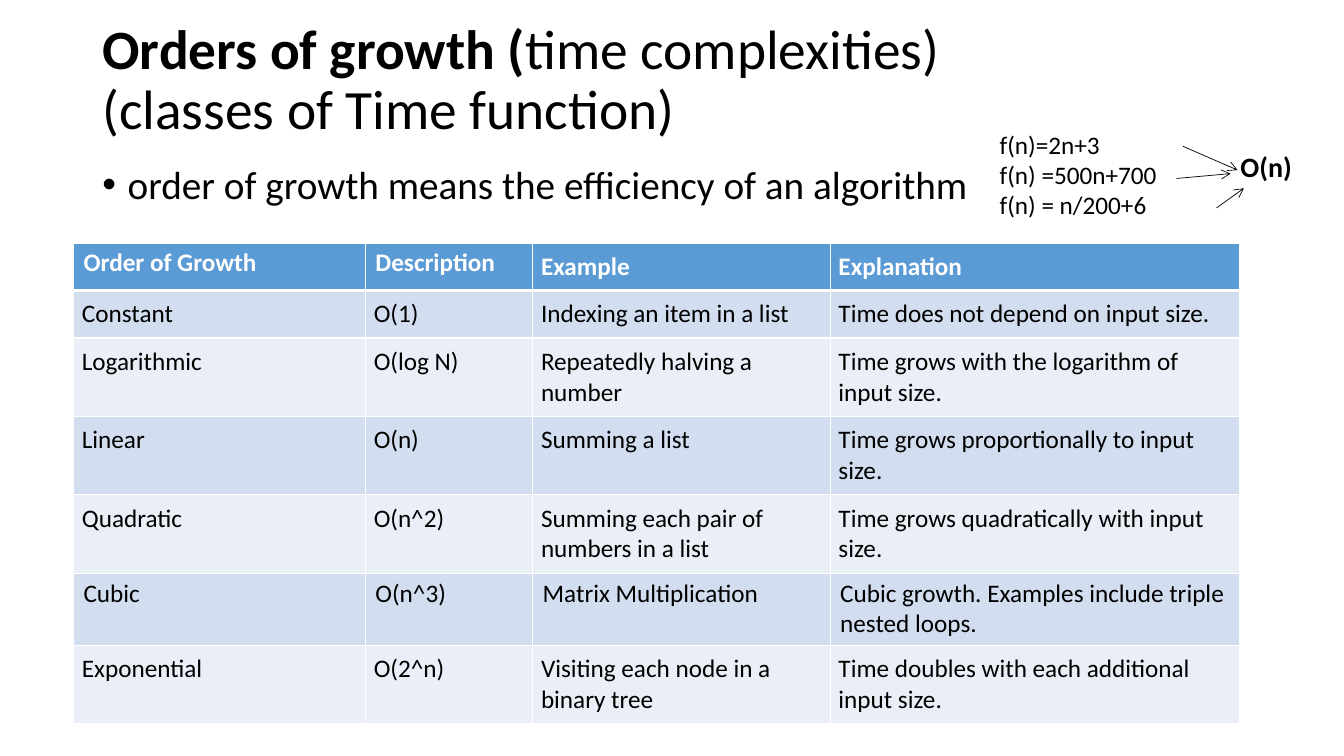
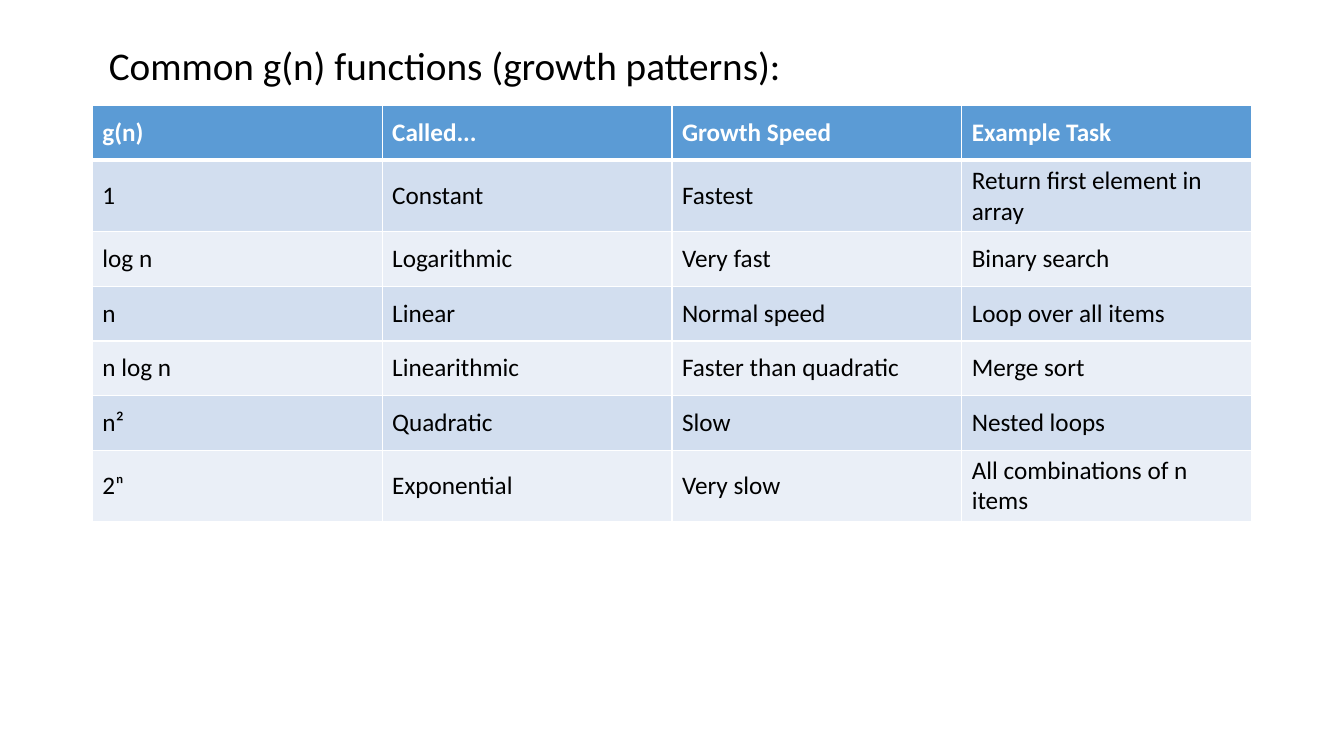
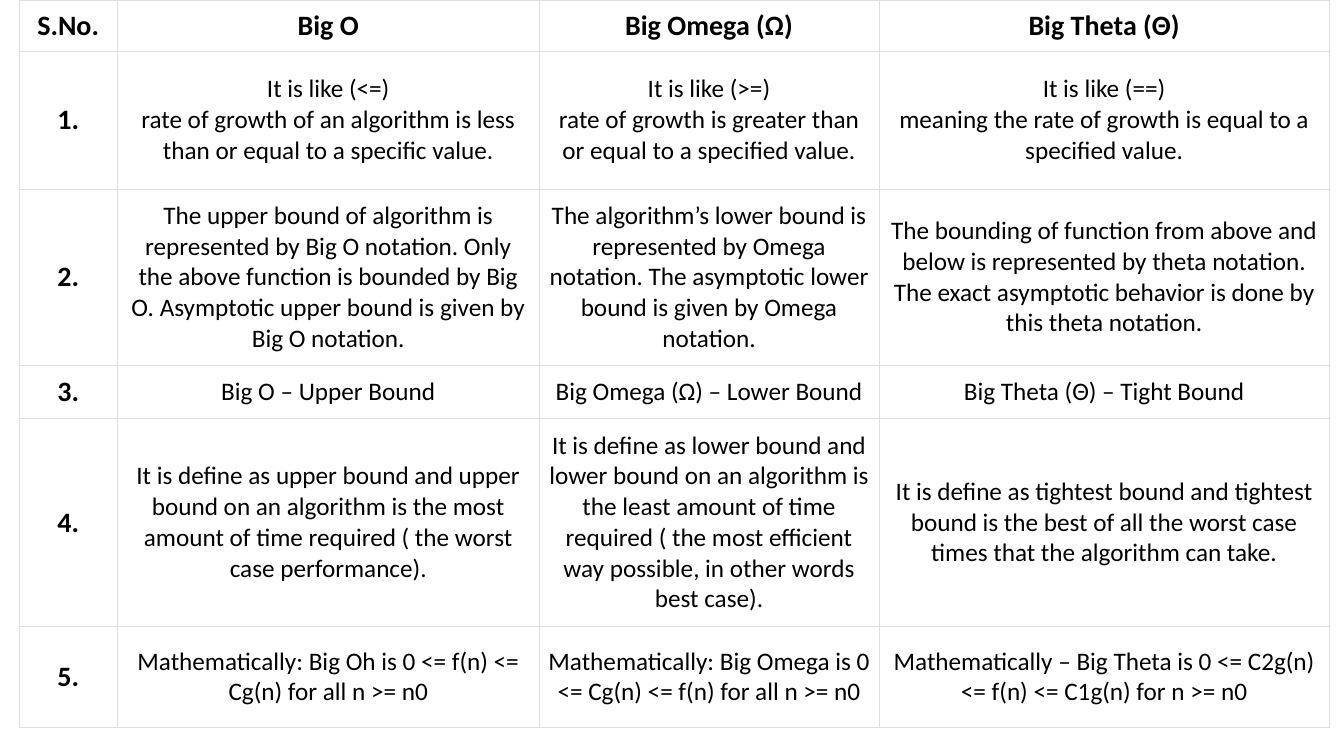
from copy import deepcopy
from dataclasses import dataclass

from pptx import Presentation
from pptx.dml.color import RGBColor
from pptx.enum.shapes import MSO_CONNECTOR
from pptx.enum.text import MSO_ANCHOR, MSO_AUTO_SIZE, PP_ALIGN
from pptx.oxml import parse_xml
from pptx.oxml.ns import nsdecls, qn
from pptx.util import Pt

STRAIGHT = MSO_CONNECTOR.STRAIGHT
TOP, MIDDLE = MSO_ANCHOR.TOP, MSO_ANCHOR.MIDDLE
LEFT, CENTER = PP_ALIGN.LEFT, PP_ALIGN.CENTER
FIXED = MSO_AUTO_SIZE.NONE
CONTENT_LAYOUT, TITLE_LAYOUT, BLANK_LAYOUT = 1, 5, 6


@dataclass(frozen=True)
class Theme:
    """Colours, type sizes and insets of the deck."""

    font: str = "Calibri"
    ink: str = "000000"
    paper: str = "FFFFFF"
    header: str = "5B9BD5"
    bands: tuple = ("D2DEEF", "EAEFF7")
    grid: str = "DFDFDF"
    title: float = 39.6
    lead: float = 28
    strong: float = 20
    text: float = 18
    normal: tuple = (7.2, 3.6)
    even: tuple = (6, 6)
    tall: tuple = (6, 8)
    narrow: tuple = (2.4, 3.6)


def apply(target, values):
    """Set every attribute named in a dict of format values."""
    for name, value in values.items():
        setattr(target, name, value)


class Deck:
    """Holds the theme and the current slide, and draws elements on it."""

    def __init__(self, theme):
        """Start a wide presentation."""
        self.theme = theme
        self.file = Presentation()
        apply(self.file, {"slide_width": Pt(960), "slide_height": Pt(540)})
        self.slide = None

    def add_slide(self, layout):
        """Add a slide and make it current."""
        self.slide = self.file.slides.add_slide(self.file.slide_layouts[layout])

    def add_span(self, para, text, size, bold=False, color=None):
        """Append text to a paragraph, with a line break at each newline."""
        for index, part in enumerate(text.split("\n")):
            if index:
                para.add_line_break()
                line_break = para._p[-1]
            span = para.add_run()
            span.text = part
            apply(span.font, {"name": self.theme.font, "size": Pt(size), "bold": bold})
            span.font.color.rgb = RGBColor.from_string(color or self.theme.ink)
            if index:
                line_break.append(deepcopy(span._r.rPr))

    def place(self, box, frame, anchor=TOP, wrap=True):
        """Move a text shape, prepare its frame and return its first paragraph."""
        apply(box, dict(zip(("left", "top", "width", "height"), map(Pt, frame))))
        apply(box.text_frame, {
            "auto_size": FIXED, "word_wrap": wrap, "vertical_anchor": anchor})
        return box.text_frame.paragraphs[0]

    def title(self, frame, spans, size, anchor=TOP, spacing=1.0):
        """Fill the title from (text, bold) spans."""
        para = self.place(self.slide.shapes.title, frame, anchor)
        apply(para, {"alignment": LEFT, "line_spacing": spacing, "space_before": Pt(0)})
        for text, bold in spans:
            self.add_span(para, text, size, bold)

    def bullet(self, frame, text):
        """Fill the body placeholder with one bullet."""
        para = self.place(self.slide.placeholders[1], frame)
        properties = para._p.get_or_add_pPr()
        for name, value in {"marL": Pt(18), "indent": Pt(-18)}.items():
            properties.set(name, str(value))
        properties.append(parse_xml(f'<a:buChar {nsdecls("a")} char="•"/>'))
        apply(para, {"alignment": LEFT, "line_spacing": 0.9, "space_before": Pt(0)})
        self.add_span(para, text, self.theme.lead)

    def text(self, frame, lines, size, bold=False, wrap=True):
        """Add a text box with one paragraph a line."""
        box = self.slide.shapes.add_textbox(0, 0, 0, 0)
        para = self.place(box, frame, wrap=wrap)
        for index, line in enumerate(lines):
            if index:
                para = box.text_frame.add_paragraph()
            self.add_span(para, line, size, bold)

    def arrow(self, *ends):
        """Add a thin arrow between two points."""
        line = self.slide.shapes.add_connector(STRAIGHT, *map(Pt, ends))
        line.line.width = Pt(0.5)
        line.line.color.rgb = RGBColor.from_string(self.theme.ink)
        properties = line._element.spPr
        outline = properties.find(qn("a:ln"))
        outline.append(parse_xml(f'<a:tailEnd {nsdecls("a")} type="arrow"/>'))
        properties.append(parse_xml(f'<a:effectLst {nsdecls("a")}/>'))

    def borders(self, cell, color, widths):
        """Draw the left, right, top and bottom border of a cell."""
        properties = cell._tc.get_or_add_tcPr()
        for index, (side, width) in enumerate(zip("LRTB", widths)):
            properties.insert(index, parse_xml(
                f'<a:ln{side} {nsdecls("a")} w="{Pt(width)}"><a:solidFill>'
                f'<a:srgbClr val="{color}"/></a:solidFill></a:ln{side}>'))

    def cell(self, cell, text, fill, inset, anchor, align, **style):
        """Fill and format one table cell."""
        across, down = map(Pt, inset)
        apply(cell, {
            "margin_left": across, "margin_right": across,
            "margin_top": down, "margin_bottom": down, "vertical_anchor": anchor})
        cell.fill.solid()
        cell.fill.fore_color.rgb = RGBColor.from_string(fill)
        para = cell.text_frame.paragraphs[0]
        para.alignment = align
        self.add_span(para, text, **style)

    def grid(self, left, top, widths, heights, rows):
        """Add an unbanded table and yield row, column, cell and text."""
        frame = self.slide.shapes.add_table(
            len(rows), len(widths), Pt(left), Pt(top), Pt(sum(widths)), Pt(sum(heights)))
        table = frame.table
        table.horz_banding = False
        for column, width in zip(table.columns, widths):
            column.width = Pt(width)
        for row, height in zip(table.rows, heights):
            row.height = Pt(height)
        for row, texts in enumerate(rows):
            for column, text in enumerate(texts):
                yield row, column, table.cell(row, column), text

    def banded_table(self, left, top, widths, heights, rows, inset, anchor):
        """Add a table with a blue header and alternating bands."""
        theme = self.theme
        for row, column, cell, text in self.grid(left, top, widths, heights, rows):
            head = row == 0
            self.cell(
                cell, text, theme.header if head else theme.bands[(row - 1) % 2],
                inset(row, column), anchor, LEFT, size=theme.text, bold=head,
                color=theme.paper if head else theme.ink)
            self.borders(cell, theme.paper, (1, 1, 3 if row == 1 else 1, 3 if head else 1))

    def ruled_table(self, left, top, widths, heights, rows):
        """Add a white centred table with bold first row and column."""
        theme = self.theme
        for row, column, cell, text in self.grid(left, top, widths, heights, rows):
            strong = row == 0 or column == 0
            if row == 0:
                inset = (theme.even if column else (theme.narrow[0], theme.even[1]))
            else:
                inset = theme.tall if column else theme.narrow
            self.cell(
                cell, text, theme.paper, inset, MIDDLE, CENTER,
                size=theme.strong if strong else theme.text, bold=strong)
            self.borders(cell, theme.grid, (0.23,) * 4)


ORDERS = [
    ("Order of Growth", "Description", "Example", "Explanation"),
    ("Constant", "O(1)", "Indexing an item in a list",
     "Time does not depend on input size."),
    ("Logarithmic", "O(log N)", "Repeatedly halving a number",
     "Time grows with the logarithm of input size."),
    ("Linear", "O(n)", "Summing a list", "Time grows proportionally to input size."),
    ("Quadratic", "O(n^2)", "Summing each pair of numbers in a list",
     "Time grows quadratically with input size."),
    ("Cubic", "O(n^3)", "Matrix Multiplication",
     "Cubic growth. Examples include triple nested loops."),
    ("Exponential", "O(2^n)", "Visiting each node in a binary tree",
     "Time doubles with each additional input size."),
]

PATTERNS = [
    ("g(n)", "Called...", "Growth Speed", "Example Task"),
    ("1", "Constant", "Fastest", "Return first element in array"),
    ("log n", "Logarithmic", "Very fast", "Binary search"),
    ("n", "Linear", "Normal speed", "Loop over all items"),
    ("n log n", "Linearithmic", "Faster than quadratic", "Merge sort"),
    ("n²", "Quadratic", "Slow", "Nested loops"),
    ("2ⁿ", "Exponential", "Very slow", "All combinations of n items"),
]

NOTATIONS = [
    ("S.No.", "Big O", "Big Omega (Ω)", "Big Theta (Θ)"),
    ("1.",
     "It is like (<=)\nrate of growth of an algorithm is less than or equal to "
     "a specific value.",
     "It is like (>=)\nrate of growth is greater than or equal to a specified value.",
     "It is like (==)\nmeaning the rate of growth is equal to a specified value."),
    ("2.",
     "The upper bound of algorithm is represented by Big O notation. Only the above "
     "function is bounded by Big O. Asymptotic upper bound is given by Big O notation.",
     "The algorithm’s lower bound is represented by Omega notation. The asymptotic "
     "lower bound is given by Omega notation.",
     "The bounding of function from above and below is represented by theta notation. "
     "The exact asymptotic behavior is done by this theta notation."),
    ("3.", "Big O – Upper Bound", "Big Omega (Ω) – Lower Bound",
     "Big Theta (Θ) – Tight Bound"),
    ("4.",
     "It is define as upper bound and upper bound on an algorithm is the most amount "
     "of time required ( the worst case performance).",
     "It is define as lower bound and lower bound on an algorithm is the least amount "
     "of time required ( the most efficient way possible, in other words best case).",
     "It is define as tightest bound and tightest bound is the best of all the worst "
     "case times that the algorithm can take."),
    ("5.",
     "Mathematically: Big Oh is 0 <= f(n) <= Cg(n) for all n >= n0",
     "Mathematically: Big Omega is 0 <= Cg(n) <= f(n) for all n >= n0",
     "Mathematically – Big Theta is 0 <= C2g(n) <= f(n) <= C1g(n) for n >= n0"),
]


def orders_slide(deck):
    """Orders of growth with an example of one class."""
    theme = deck.theme
    deck.add_slide(CONTENT_LAYOUT)
    deck.title(
        (66, 28.75, 828, 59),
        [("Orders of growth (", True),
         ("time complexities)\n(classes of Time function)", False)],
        theme.title, MIDDLE, 0.9)
    deck.bullet((66, 114.5, 648, 45), "order of growth means the efficiency of an algorithm")
    deck.banded_table(
        52.5, 173.5, (208.5, 119.5, 212.5, 292.5), (33.5, 33.5, 56, 56, 56, 51.5, 56), ORDERS,
        lambda row, column: theme.normal if row == 5 or (row == 0 and column < 2)
        else theme.even, TOP)
    deck.text((707, 88.5, 198, 74),
              ("f(n)=2n+3", "f(n) =500n+700", "f(n) = n/200+6"), theme.text)
    for ends in ((845, 104.5, 884, 121.5), (840.5, 127.5, 879, 124), (869, 148.5, 888.5, 134.5)):
        deck.arrow(*ends)
    deck.text((879, 103.5, 52, 31.5), ("O(n)",), theme.strong, bold=True, wrap=False)


def patterns_slide(deck):
    """Common growth patterns."""
    theme = deck.theme
    deck.add_slide(TITLE_LAYOUT)
    deck.title((70.5, 26, 501, 41),
               [("Common g(n) functions (growth patterns):", False)], theme.lead)
    deck.banded_table(
        66, 75.5, (207,) * 4, (39, 51, 39, 39, 39, 39, 51), PATTERNS,
        lambda row, column: theme.normal, MIDDLE)


def notations_slide(deck):
    """Comparison of the three asymptotic notations."""
    deck.add_slide(BLANK_LAYOUT)
    deck.ruled_table(
        13.75, 0, (70, 301.5, 242.5, 322), (36.5, 98.5, 126, 38, 148.5, 72), NOTATIONS)


def main():
    """Build and save the deck."""
    deck = Deck(Theme())
    orders_slide(deck)
    patterns_slide(deck)
    notations_slide(deck)
    deck.file.save("out.pptx")


if __name__ == "__main__":
    main()
